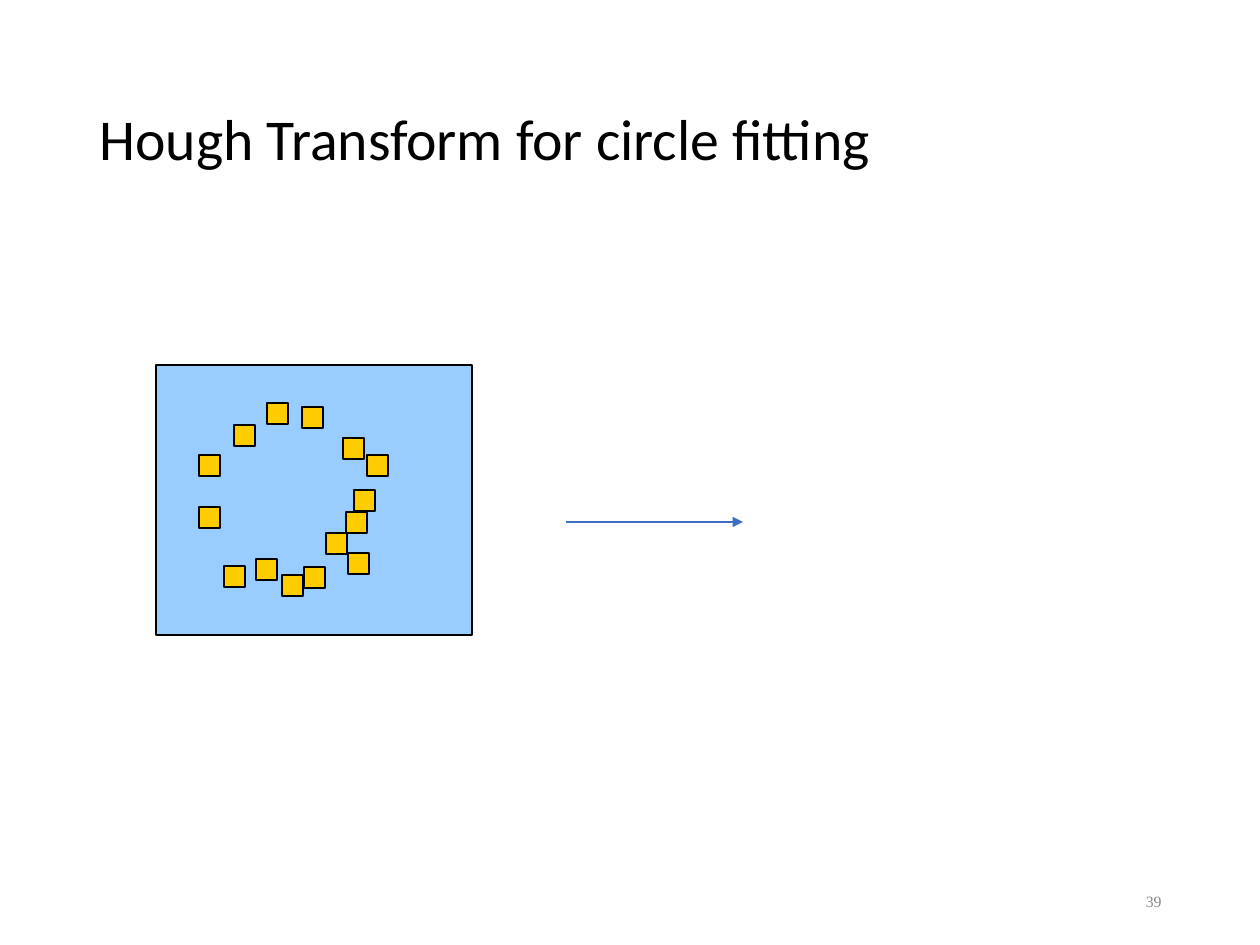
from dataclasses import dataclass

import pptx
import pptx.dml.color
import pptx.enum.shapes
import pptx.enum.text
import pptx.oxml
import pptx.oxml.ns
import pptx.util

EMU_PER_PX = 914400 / 126
EDGE_POINT_SIZE = 21
OUTLINE_WIDTH = pptx.util.Pt(0.75)


@dataclass(frozen=True)
class Box:
    left: int
    top: int
    width: int
    height: int


@dataclass(frozen=True)
class Label:
    text: str
    box: Box
    paragraph_format: dict
    font_format: dict
    color: str


LABELS = [
    Label("Hough Transform for circle fitting", Box(87, 50, 1086, 183),
          {"alignment": pptx.enum.text.PP_ALIGN.LEFT, "line_spacing": 0.9},
          {"name": "Calibri", "size": pptx.util.Pt(33)}, "000000"),
    Label("39", Box(890, 876, 284, 50),
          {"alignment": pptx.enum.text.PP_ALIGN.RIGHT},
          {"name": "Times New Roman", "size": pptx.util.Pt(9)}, "888888"),
]

IMAGE_PLANE = Box(156, 365, 316, 270)

EDGE_POINTS = [
    (326, 533), (234, 425), (256, 559), (199, 507), (199, 455),
    (343, 438), (267, 403), (354, 490), (304, 567), (346, 512),
    (282, 575), (302, 407), (348, 553), (367, 455), (224, 566),
]


def px(length: int) -> int:
    return round(length * EMU_PER_PX)


def rgb(color: str) -> pptx.dml.color.RGBColor:
    return pptx.dml.color.RGBColor.from_string(color)


def extent(box: Box) -> tuple[int, ...]:
    return px(box.left), px(box.top), px(box.width), px(box.height)


def add_label(slide, label: Label) -> None:
    frame = slide.shapes.add_textbox(*extent(label.box)).text_frame
    frame.word_wrap = True
    frame.vertical_anchor = pptx.enum.text.MSO_ANCHOR.MIDDLE
    paragraph = frame.paragraphs[0]
    run = paragraph.add_run()
    run.text = label.text
    for target, values in ((paragraph, label.paragraph_format),
                           (run.font, label.font_format)):
        for attribute, value in values.items():
            setattr(target, attribute, value)
    run.font.color.rgb = rgb(label.color)


def add_rectangle(slide, box: Box, fill: str) -> None:
    rectangle = slide.shapes.add_shape(
        pptx.enum.shapes.MSO_SHAPE.RECTANGLE, *extent(box))
    rectangle.shadow.inherit = False
    rectangle.fill.solid()
    rectangle.fill.fore_color.rgb = rgb(fill)
    rectangle.line.color.rgb = rgb("000000")
    rectangle.line.width = OUTLINE_WIDTH


def add_arrow(slide, start: tuple[int, int], end: tuple[int, int], color: str) -> None:
    arrow = slide.shapes.add_connector(
        pptx.enum.shapes.MSO_CONNECTOR.STRAIGHT, *map(px, start + end))
    arrow.line.color.rgb = rgb(color)
    arrow.line.width = OUTLINE_WIDTH
    head = pptx.oxml.parse_xml(
        f'<a:tailEnd {pptx.oxml.ns.nsdecls("a")} type="triangle"/>')
    arrow.line._get_or_add_ln().append(head)
    no_shadow = pptx.oxml.parse_xml(f'<a:effectLst {pptx.oxml.ns.nsdecls("a")}/>')
    arrow._element.spPr.append(no_shadow)


def main() -> None:
    presentation = pptx.Presentation()
    presentation.slide_width = px(1260)
    presentation.slide_height = px(945)
    slide = presentation.slides.add_slide(presentation.slide_layouts[6])

    for label in LABELS:
        add_label(slide, label)
    add_rectangle(slide, IMAGE_PLANE, "99CCFF")
    for left, top in EDGE_POINTS:
        add_rectangle(slide, Box(left, top, EDGE_POINT_SIZE, EDGE_POINT_SIZE), "FFCC00")
    add_arrow(slide, (566, 522), (743, 522), "3F6FC3")

    presentation.save("out.pptx")


if __name__ == "__main__":
    main()
